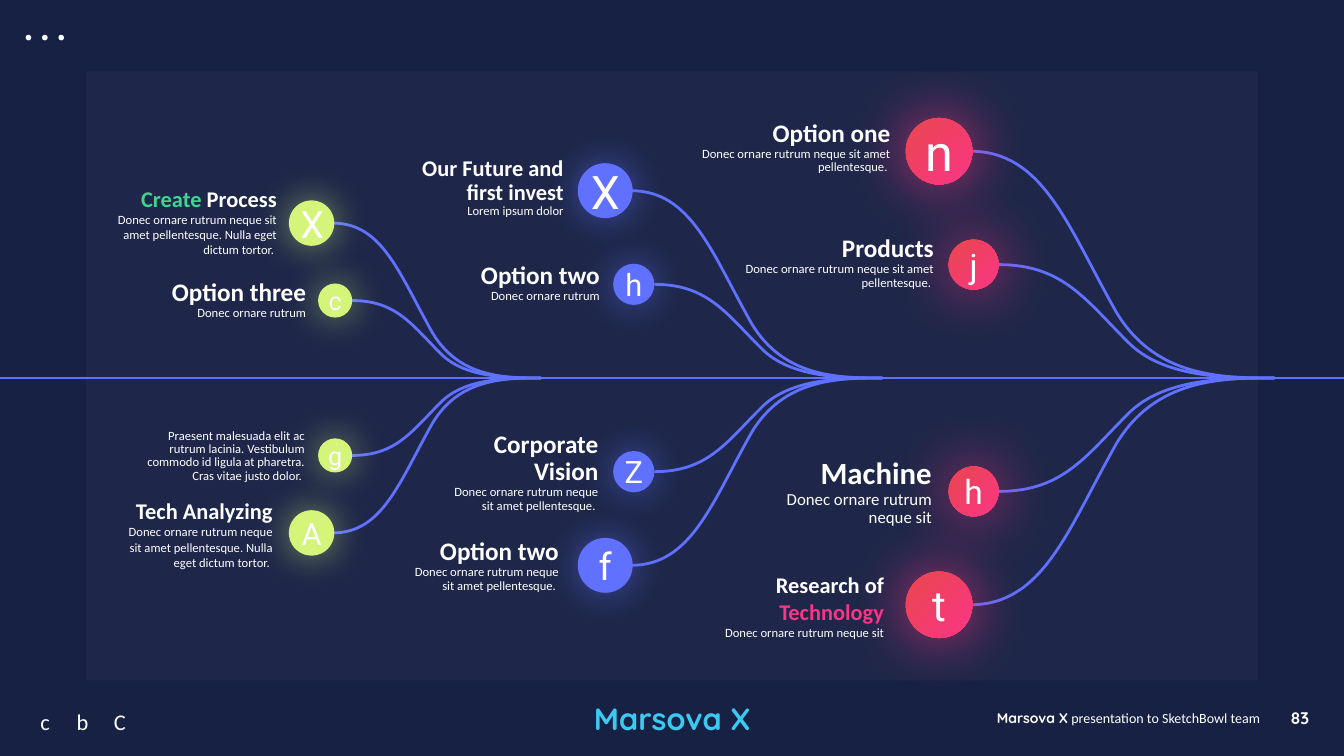
import pptx
import pptx.util
import pptx.dml.color
import pptx.enum.shapes
import pptx.enum.text
import pptx.oxml
import pptx.oxml.ns

Pt = pptx.util.Pt
qn = pptx.oxml.ns.qn
ALIGN = pptx.enum.text.PP_ALIGN
MIDDLE = pptx.enum.text.MSO_ANCHOR.MIDDLE
SHAPE = pptx.enum.shapes.MSO_SHAPE
NS = pptx.oxml.ns.nsdecls("a")

WHITE, BLUE, PINK, RED, LIME, GREEN, CYAN = (
    "FFFFFF", "6070FF", "FA3585", "E9474E", "D4F579", "40D492", "3BC8F1")
WIDTH, HEIGHT = 1920, 1080
AXIS_Y = HEIGHT / 2

# Bone curve: share of its width and of its rise, from the axis outwards
BONE = [(1, 0), (.83, 0), (.61, 0), (.48, .29), (.32, .67), (.24, 1), (0, 1)]


def rgb(value):
    return pptx.dml.color.RGBColor.from_string(value)


def style(font, name, size, color=WHITE, bold=False):
    font.name, font.size, font.bold = name, Pt(size), bold
    font.color.rgb = rgb(color)


def add_text(s, x, y, w, h, paragraphs, align, spacing=None):
    """Each paragraph is a list of (text, font, size, color, bold) runs."""
    tb = s.shapes.add_textbox(Pt(x), Pt(y), Pt(w), Pt(h))
    tf = tb.text_frame
    tf.word_wrap, tf.vertical_anchor = True, MIDDLE
    tf.auto_size = pptx.enum.text.MSO_AUTO_SIZE.SHAPE_TO_FIT_TEXT
    for i, runs in enumerate(paragraphs):
        p = tf.add_paragraph() if i else tf.paragraphs[0]
        p.alignment = align
        if spacing:
            p.line_spacing = spacing
        for text, *look in runs:
            r = p.add_run()
            r.text = text
            style(r.font, *look)


def add_shape(s, kind, x, y, w, h, color):
    sp = s.shapes.add_shape(kind, Pt(x), Pt(y), Pt(w), Pt(h))
    sp.shadow.inherit = False
    sp.fill.solid()
    sp.fill.fore_color.rgb = rgb(color)
    sp.line.fill.background()
    return sp


def add_bone(s, x, y, w, rise):
    """Curve from the axis at (x + w, y) out to (x, y + rise)."""
    points = [(Pt(x + fx * w), Pt(y + fy * rise)) for fx, fy in BONE]
    builder = s.shapes.build_freeform(*points[0])
    builder.add_line_segments(points[1:], close=False)
    sp = builder.convert_to_shape()
    sp.shadow.inherit = False
    sp.fill.background()
    sp.line.color.rgb = rgb(BLUE)
    sp.line.width = Pt(4)
    # Turn each three straight segments into one cubic curve
    outline = sp._element.find(".//" + qn("a:path"))
    segments = outline.findall(qn("a:lnTo"))
    for i in range(0, len(segments), 3):
        curve = pptx.oxml.parse_xml(f"<a:cubicBezTo {NS}/>")
        segments[i].addprevious(curve)
        for segment in segments[i:i + 3]:
            curve.append(segment[0])
            outline.remove(segment)


def add_node(s, cx, cy, d, color, letter, size):
    """Glowing disc with a letter."""
    sp = add_shape(s, SHAPE.OVAL, cx - d / 2, cy - d / 2, d, d, color)
    pr = sp._element.spPr
    if color == PINK:
        solid = pr.find(qn("a:solidFill"))
        pr.replace(solid, pptx.oxml.parse_xml(
            f'<a:gradFill {NS} rotWithShape="1"><a:gsLst>'
            f'<a:gs pos="0"><a:srgbClr val="{PINK}"/></a:gs>'
            f'<a:gs pos="100000"><a:srgbClr val="{RED}"/></a:gs></a:gsLst>'
            '<a:path path="circle"><a:fillToRect l="100000" t="100000"/></a:path>'
            '</a:gradFill>'))
    blur, alpha = (90, 80) if color == PINK else (55, 55)
    pr.find(qn("a:effectLst")).append(pptx.oxml.parse_xml(
        f'<a:outerShdw {NS} blurRad="{Pt(blur)}" algn="ctr" rotWithShape="0">'
        f'<a:srgbClr val="{color}"><a:alpha val="{alpha * 1000}"/></a:srgbClr>'
        '</a:outerShdw>'))
    tf = sp.text_frame
    tf.margin_top = tf.margin_bottom = 0
    tf.vertical_anchor = MIDDLE
    p = tf.paragraphs[0]
    p.text, p.alignment = letter, ALIGN.CENTER
    style(p.font, "Roboto", size)


def add_branch(s, tail, scale, color, nodes):
    """Four bones that meet the axis at tail, each with disc and label."""
    for (side, long), letter, size, label in nodes:
        w, rise, d = [v * scale for v in ((435, 324, 95) if long else (394.5, 162, 71.3))]
        x, y = tail - w, AXIS_Y + side * rise
        cx = x - d / 2 + (3 * scale if long else 0)
        add_bone(s, x, AXIS_Y, w, side * rise)
        add_node(s, cx, y, d, color, letter, size)
        gap, drop, lw, lh, spacing, heading, heading_size, body, body_size = label
        paragraphs = [[(t, "Calibri", heading_size, c, True) for t, c in heading]] if heading else []
        paragraphs.append([(body, "Calibri", body_size)])
        add_text(s, cx - d / 2 - gap - lw, y + drop - lh / 2, lw, lh,
                 paragraphs, ALIGN.RIGHT, spacing)


def add_footer(s, x, y, w, h):
    # Icon letters
    for i, letter in enumerate("cbC"):
        add_text(s, x + 41 + i * 53.3, y + 8, 47, 46, [[(letter, "Calibri", 32)]], ALIGN.CENTER)
    # Deck name
    title = s.shapes.title
    title.left, title.top, title.width, title.height = Pt(x + 788), Pt(y - 4), Pt(345), Pt(60)
    title.text_frame.vertical_anchor = MIDDLE
    p = title.text_frame.paragraphs[0]
    p.text, p.alignment = "Marsova X", ALIGN.CENTER
    style(p.font, "Quicksand", 44, CYAN, True)
    # Caption and page number
    add_text(s, x + 1417, y + 10, 408, 32,
             [[("Marsova X", "Quicksand", 20, WHITE, True),
               (" presentation to SketchBowl team", "Calibri", 20)]], ALIGN.LEFT)
    add_text(s, x + w - 93, y + 4, 60, 44, [[("83", "Quicksand", 24, WHITE, True)]], ALIGN.CENTER)


def add_backdrop(s, x, y, w, h):
    for i in range(3):
        add_shape(s, SHAPE.OVAL, x - 86.3 + i * 23.4, y - 52.3, 8, 8, WHITE)
    panel = add_shape(s, SHAPE.RECTANGLE, x, y, w, h, WHITE)
    tint = panel._element.spPr.find(qn("a:solidFill"))[0]
    tint.append(pptx.oxml.parse_xml(f'<a:alpha {NS} val="3000"/>'))
    axis = s.shapes.add_connector(pptx.enum.shapes.MSO_CONNECTOR.STRAIGHT,
                                  0, Pt(AXIS_Y), Pt(WIDTH), Pt(AXIS_Y))
    axis.line.color.rgb = rgb(BLUE)
    axis.line.width = Pt(4)
    axis._element.spPr.append(pptx.oxml.parse_xml(f"<a:effectLst {NS}/>"))


def main():
    prs = pptx.Presentation()
    prs.slide_width, prs.slide_height = Pt(WIDTH), Pt(HEIGHT)
    s = prs.slides.add_slide(prs.slide_layouts[5])
    s.background.fill.solid()
    s.background.fill.fore_color.rgb = rgb("172144")
    add_backdrop(s, 123, 102, 1674, 870)
    add_footer(s, 0, 1000, WIDTH, 80)

    donec = "Donec ornare rutrum"
    sit = donec + " neque sit"
    amet = sit + " amet pellentesque. "
    nulla = amet + "Nulla eget dictum tortor. "
    praesent = ("Praesent malesuada elit ac rutrum lacinia. Vestibulum commodo id "
                "ligula at pharetra. Cras vitae justo dolor. ")
    up_long, up_short, down_short, down_long = (-1, True), (-1, False), (1, False), (1, True)

    # Label: gap to disc, drop, width, height, spacing, heading runs, size, body, size
    add_branch(s, 1821, 1, PINK, [
        (up_long, "n", 72, (15, -5, 286, 85, .89, [("Option one", WHITE)], 36, amet, 18)),
        (up_short, "j", 48, (14, -2, 286, 85, .89, [("Products", WHITE)], 36, amet, 18)),
        (down_long, "t", 60, (24, 1, 286, 107, None,
                              [("Research of ", WHITE), ("Technology", PINK)], 32, sit, 18)),
        (down_short, "h", 48, (17, 2, 286, 107, .89, [("Machine", WHITE)], 44, sit, 24))])
    add_branch(s, 1260.7, .826, BLUE, [
        (up_long, "X", 66, (13, -4, 236, 98, .89, [("Our Future and first invest", WHITE)], 32,
                            "Lorem ipsum dolor", 18)),
        (up_short, "h", 44, (12, -2, 236, 66, .89, [("Option two", WHITE)], 36, donec, 18)),
        (down_long, "f", 54, (20, 1, 236, 85, .89, [("Option two", WHITE)], 36, amet, 18)),
        (down_short, "Z", 44, (14, 1, 236, 124, .89, [("Corporate Vision", WHITE)], 36, amet, 18))])
    add_branch(s, 772.6, .683, LIME, [
        (up_long, "X", 54, (10, -3, 263, 112, None,
                            [("Create ", GREEN), ("Process", WHITE)], 32, nulla, 18)),
        (up_short, "c", 36, (10, -1, 245, 66, .89, [("Option three", WHITE)], 36, donec, 18)),
        (down_long, "A", 44, (16, 1, 236, 112, None, [("Tech Analyzing", WHITE)], 32, nulla, 18)),
        (down_short, "g", 36, (12, 1, 258, 85, .89, None, 0, praesent, 18))])
    prs.save("out.pptx")


if __name__ == "__main__":
    main()
